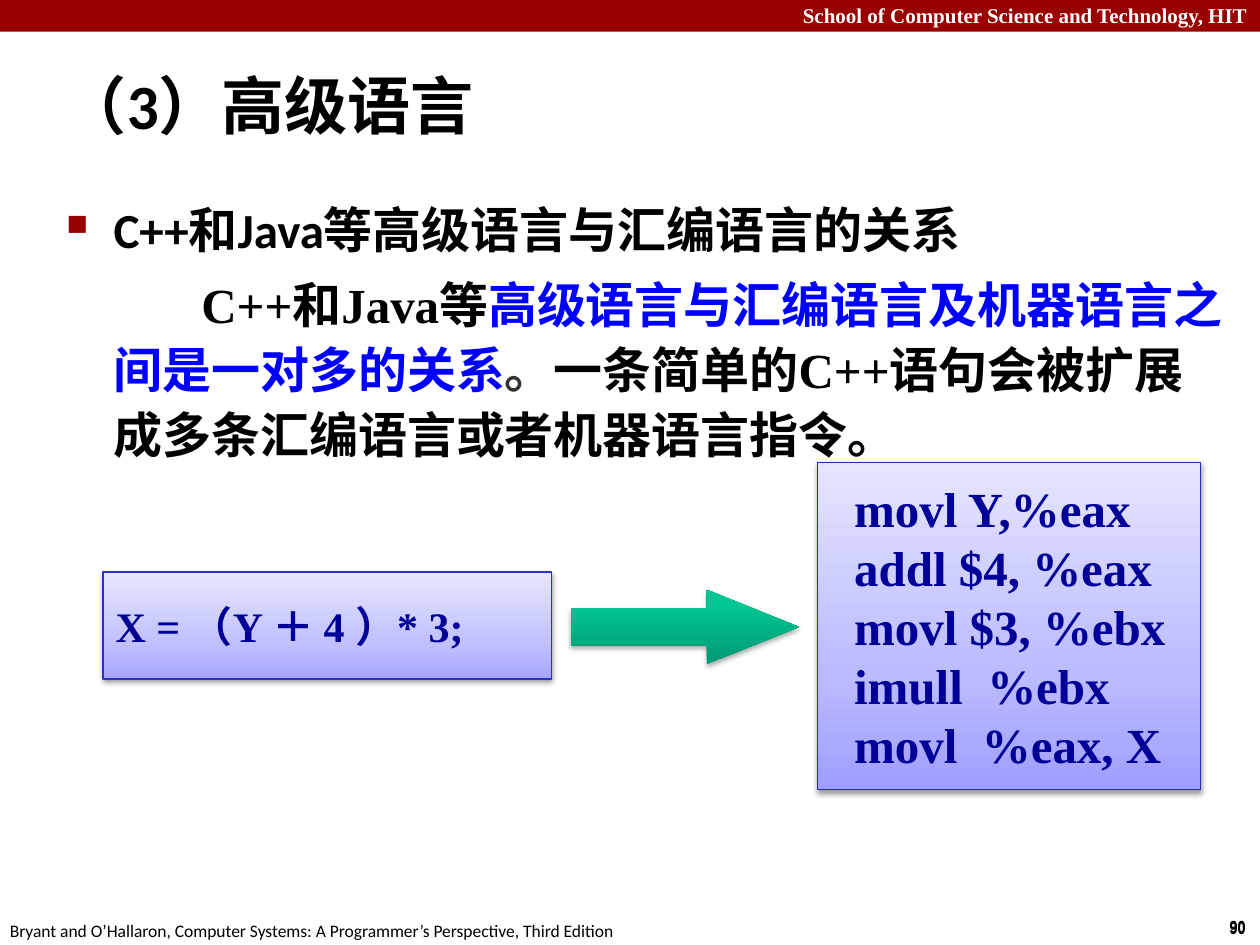
from dataclasses import dataclass

from lxml import etree
from pptx import Presentation
from pptx.dml.color import RGBColor
from pptx.enum.shapes import MSO_SHAPE
from pptx.enum.text import MSO_ANCHOR, MSO_AUTO_SIZE, PP_ALIGN
from pptx.oxml.ns import qn
from pptx.util import Cm, Pt

RECTANGLE, RIGHT_ARROW = MSO_SHAPE.RECTANGLE, MSO_SHAPE.RIGHT_ARROW
TOP, MIDDLE = MSO_ANCHOR.TOP, MSO_ANCHOR.MIDDLE
LEFT, RIGHT = PP_ALIGN.LEFT, PP_ALIGN.RIGHT
GROW = MSO_AUTO_SIZE.SHAPE_TO_FIT_TEXT


@dataclass(frozen=True)
class Theme:
    """Colours, fonts and type sizes of the deck."""
    black: str = "000000"
    white: str = "FFFFFF"
    red: str = "990000"
    blue: str = "0000FF"
    gray: str = "333333"
    navy: str = "000099"
    statement_stops: tuple = ((0, "A7A7FF"), (35, "C1C1FF"), (100, "E7E7FF"))
    listing_stops: tuple = ((0, "9F9FFF"), (35, "BBBBFF"), (100, "E5E5FF"))
    arrow_stops: tuple = ((0, "009872"), (80, "00C694"), (100, "00C795"))
    statement_line: str = "2E2ECB"
    listing_line: str = "2929B8"
    sans: str = "Calibri"
    serif: str = "Times New Roman"
    narrow: str = "Arial Narrow"
    title: int = 36
    body: int = 28
    statement: int = 24
    header: int = 12
    footer: int = 10


class Slide:
    """Holds the theme and the current page, and draws each kind of element."""

    def __init__(self, page, theme):
        """Keep the page and its theme."""
        self.page = page
        self.theme = theme

    def style(self, para, font, size, color, bold=True):
        """Set the font shared by all runs of a paragraph."""
        para.font.name = font
        para.font.size = Pt(size)
        para.font.bold = bold
        para.font.color.rgb = RGBColor.from_string(color)

    def indent(self, para, margin, first):
        """Set the left margin and the first line offset in centimetres."""
        properties = para._p.get_or_add_pPr()
        properties.set("marL", str(Cm(margin)))
        properties.set("indent", str(Cm(first)))

    def bullet(self, para):
        """Put a small red square before a paragraph."""
        properties = para._p.get_or_add_pPr()
        color = etree.SubElement(properties, qn("a:buClr"))
        etree.SubElement(color, qn("a:srgbClr"), val=self.theme.red)
        etree.SubElement(properties, qn("a:buSzPct"), val="60000")
        etree.SubElement(properties, qn("a:buChar"), char="■")

    def text(self, place, wrap=True, anchor=TOP, grow=False):
        """Add an empty text box and return its frame."""
        frame = self.page.shapes.add_textbox(*map(Cm, place)).text_frame
        frame.word_wrap = wrap
        frame.vertical_anchor = anchor
        if grow:
            frame.auto_size = GROW
        return frame

    def label(self, place, words, font, size, color, bold=True, wrap=False, align=LEFT):
        """Add a one-line text that fits its box."""
        para = self.text(place, wrap, grow=True).paragraphs[0]
        para.text = words
        para.alignment = align
        self.style(para, font, size, color, bold)

    def shape(self, kind, place):
        """Add a preset shape without line or shadow."""
        box = self.page.shapes.add_shape(kind, *map(Cm, place))
        box.shadow.inherit = False
        box.line.fill.background()
        return box

    def bar(self, place, color):
        """Add a plain filled rectangle."""
        box = self.shape(RECTANGLE, place)
        box.fill.solid()
        box.fill.fore_color.rgb = RGBColor.from_string(color)

    def raised(self, kind, place, stops, opacity):
        """Add a shape with an upward gradient and a soft shadow below."""
        box = self.shape(kind, place)
        properties = box._element.spPr
        gradient = etree.Element(qn("a:gradFill"), rotWithShape="1")
        stop_list = etree.SubElement(gradient, qn("a:gsLst"))
        for position, color in stops:
            stop = etree.SubElement(stop_list, qn("a:gs"), pos=str(position * 1000))
            etree.SubElement(stop, qn("a:srgbClr"), val=color)
        etree.SubElement(gradient, qn("a:lin"), ang="16200000", scaled="0")
        properties.find(qn("a:prstGeom")).addnext(gradient)
        shadow = etree.SubElement(
            properties.find(qn("a:effectLst")), qn("a:outerShdw"),
            blurRad=str(Pt(3.1)), dist=str(Pt(1.6)), dir="5400000", rotWithShape="0")
        tone = etree.SubElement(shadow, qn("a:srgbClr"), val=self.theme.black)
        etree.SubElement(tone, qn("a:alpha"), val=str(opacity * 1000))
        return box

    def code(self, place, lines, size, stops, line, margin=0):
        """Add a raised box with lines of code."""
        box = self.raised(RECTANGLE, place, stops, 38)
        box.line.color.rgb = RGBColor.from_string(line)
        box.line.width = Pt(0.75)
        frame = box.text_frame
        frame.word_wrap = False
        frame.vertical_anchor = MIDDLE
        for number, words in enumerate(lines):
            para = frame.add_paragraph() if number else frame.paragraphs[0]
            para.text = words
            para.alignment = LEFT
            self.indent(para, margin, 0)
            self.style(para, self.theme.serif, size, self.theme.navy)

    def arrow(self, place, stops, head):
        """Add a raised block arrow with the given head length."""
        box = self.raised(RIGHT_ARROW, place, stops, 35)
        box.adjustments[0] = 0.5
        box.adjustments[1] = head

    def title(self, place, words):
        """Add the heading of the page."""
        para = self.text(place, anchor=MIDDLE).paragraphs[0]
        para.text = words
        self.indent(para, 0.33, -0.33)
        self.style(para, self.theme.sans, self.theme.title, self.theme.black)

    def body(self, place, heading, spans):
        """Add a bulleted heading and a paragraph of coloured spans."""
        frame = self.text(place)
        topic, detail = frame.paragraphs[0], frame.add_paragraph()
        topic.text = heading
        for words, color in spans:
            span = detail.add_run()
            span.text = words
            span.font.color.rgb = RGBColor.from_string(color)
        rows = ((topic, self.theme.sans, -0.95), (detail, self.theme.serif, 1.77))
        for para, font, first in rows:
            para.line_spacing = 1.1
            para.space_before = Pt(6)
            self.indent(para, 0.95, first)
            self.style(para, font, self.theme.body, self.theme.black)
        self.bullet(topic)


def main():
    """Build the page on high-level languages and save it."""
    deck = Presentation()
    deck.slide_width, deck.slide_height = Cm(25.4), Cm(19.05)
    theme = Theme()
    slide = Slide(deck.slides.add_slide(deck.slide_layouts[6]), theme)

    slide.bar((0, 0, 25.4, 0.64), theme.red)
    slide.label((0, -0.08, 25.4, 0.76), "School of Computer Science and Technology, HIT",
                theme.serif, theme.header, theme.white, wrap=True, align=RIGHT)
    for top in (18.36, 18.34):
        slide.label((24.54, top, 0.86, 0.69), "90", theme.narrow, theme.footer, theme.black)
    slide.label((-0.05, 18.42, 12.9, 0.69),
                "Bryant and O’Hallaron, Computer Systems: A Programmer’s Perspective, Third Edition",
                theme.sans, theme.footer, theme.black, bold=False)

    slide.title((1.04, 1.04, 24.33, 2.11), "（3）高级语言")
    slide.body((1.09, 3.78, 23.88, 14.63), "C++和Java等高级语言与汇编语言的关系", (
        ("C++和Java等", theme.black),
        ("高级语言与汇编语言及机器语言之间是一对多的关系", theme.blue),
        ("。", theme.gray),
        ("一条简单的C++语句会被扩展成多条汇编语言或者机器语言指令。", theme.black)))

    slide.code((2.08, 11.53, 9.04, 2.16), ("X = （Y ＋ 4 ）* 3;",), theme.statement,
               theme.statement_stops, theme.statement_line)
    slide.code((16.48, 9.32, 7.72, 6.6),
               ("movl Y,%eax", "addl $4, %eax", "movl $3, %ebx", "imull  %ebx", "movl  %eax, X"),
               theme.body, theme.listing_stops, theme.listing_line, margin=0.49)
    slide.arrow((11.51, 11.89, 4.6, 1.5), theme.arrow_stops, 1.24)
    deck.save("out.pptx")


if __name__ == "__main__":
    main()
